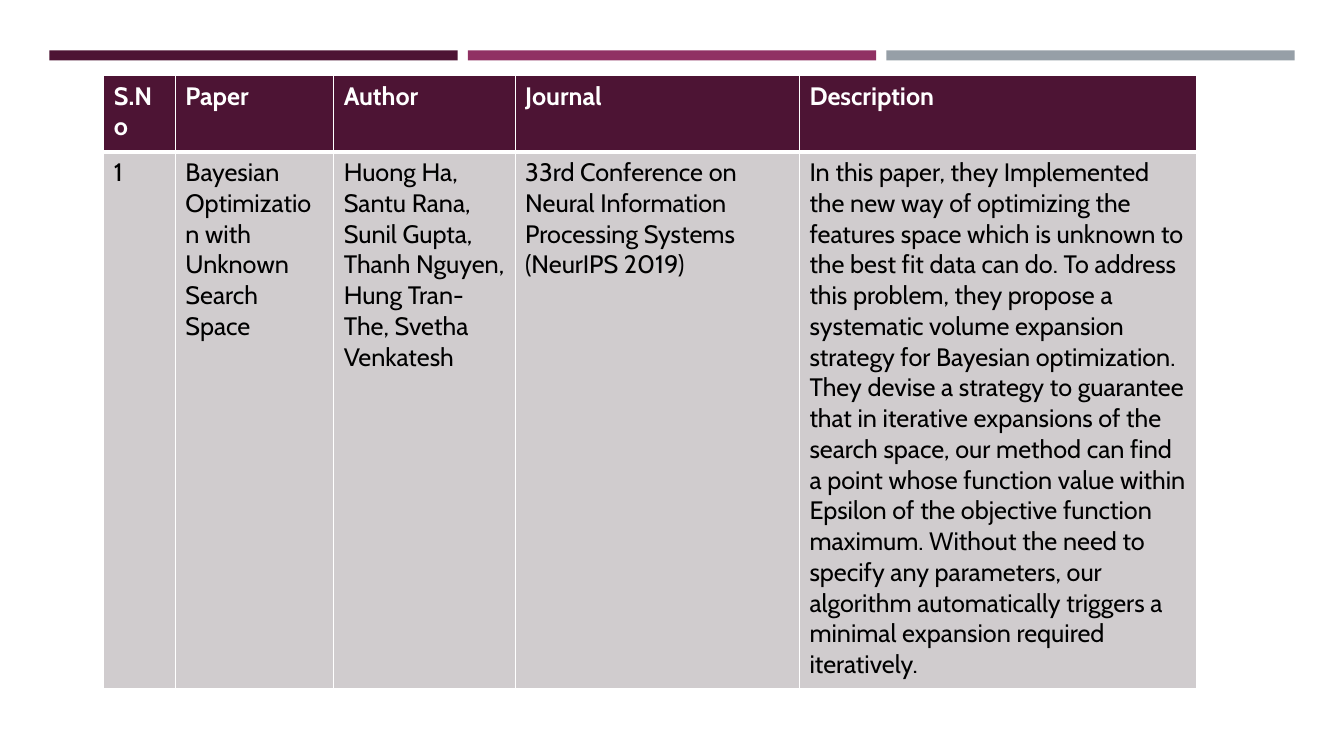
import pptx
import pptx.util
import pptx.dml.color
import pptx.enum.shapes
import lxml.etree
import pptx.oxml.ns

Inches = pptx.util.Inches
COLORS = {"plum": "4D1434", "magenta": "903163", "slate": "969FA7",
          "body": "D0CCCE", "white": "FFFFFF", "black": "000000"}


def color(name):
    return pptx.dml.color.RGBColor.from_string(COLORS[name])


def add_border(cell, side, width):
    properties = cell._tc.get_or_add_tcPr()
    line = lxml.etree.SubElement(properties, pptx.oxml.ns.qn("a:ln" + side),
                                 w=str(pptx.util.Pt(width)))
    fill = lxml.etree.SubElement(line, pptx.oxml.ns.qn("a:solidFill"))
    lxml.etree.SubElement(fill, pptx.oxml.ns.qn("a:srgbClr"), val=COLORS["white"])


deck = pptx.Presentation()
deck.slide_width, deck.slide_height = Inches(13.33), Inches(7.5)
page = deck.slides.add_slide(deck.slide_layouts[6])

# Three bars across the top
for index, name in enumerate(["plum", "magenta", "slate"]):
    bar = page.shapes.add_shape(pptx.enum.shapes.MSO_SHAPE.RECTANGLE,
                                Inches(0.49 + 4.15 * index), Inches(0.5),
                                Inches(4.05), Inches(0.1))
    bar.shadow.inherit = False
    bar.fill.solid()
    bar.fill.fore_color.rgb = color(name)
    bar.line.fill.background()

# Literature table
rows = [
    ["S.No", "Paper ", "Author ", "Journal ", "Description"],
    ["1",
     "Bayesian Optimization with Unknown Search Space",
     "Huong Ha, Santu Rana, Sunil Gupta, Thanh Nguyen, Hung Tran-The, "
     "Svetha Venkatesh ",
     "33rd Conference on Neural Information Processing Systems (NeurIPS 2019)",
     "In this paper, they Implemented the new way of optimizing the features space "
     "which is unknown to the best fit data can do. To address this problem, they "
     "propose a systematic volume expansion strategy for Bayesian optimization. They "
     "devise a strategy to guarantee that in iterative expansions of the search "
     "space, our method can find a point whose function value within Epsilon of the "
     "objective function maximum. Without the need to specify any parameters, our "
     "algorithm automatically triggers a minimal expansion required iteratively."],
]
column_widths = [0.71, 1.57, 1.8, 2.82, 3.94]
row_heights = [0.76, 5.32]
row_styles = [
    {"fill": "plum", "text": "white", "font": {"bold": True},
     "borders": {"L": 1, "R": 1, "T": 1, "B": 3}},
    {"fill": "body", "text": "black", "font": {"bold": False},
     "borders": {"L": 1, "R": 1, "T": 3, "B": 1}},
]

table = page.shapes.add_table(len(rows), len(column_widths), Inches(1.03), Inches(0.75),
                              Inches(sum(column_widths)), Inches(sum(row_heights))).table
for column, width in zip(table.columns, column_widths):
    column.width = Inches(width)

for row, height, texts, style in zip(table.rows, row_heights, rows, row_styles):
    row.height = Inches(height)
    for cell, text in zip(row.cells, texts):
        for side, width in style["borders"].items():
            add_border(cell, side, width)
        cell.fill.solid()
        cell.fill.fore_color.rgb = color(style["fill"])
        para = cell.text_frame.paragraphs[0]
        span = para.add_run()
        span.text = text
        span.font.color.rgb = color(style["text"])
        font_format = {"name": "Cabin", "size": pptx.util.Pt(18), **style["font"]}
        for attribute, value in font_format.items():
            setattr(span.font, attribute, value)

deck.save("out.pptx")
